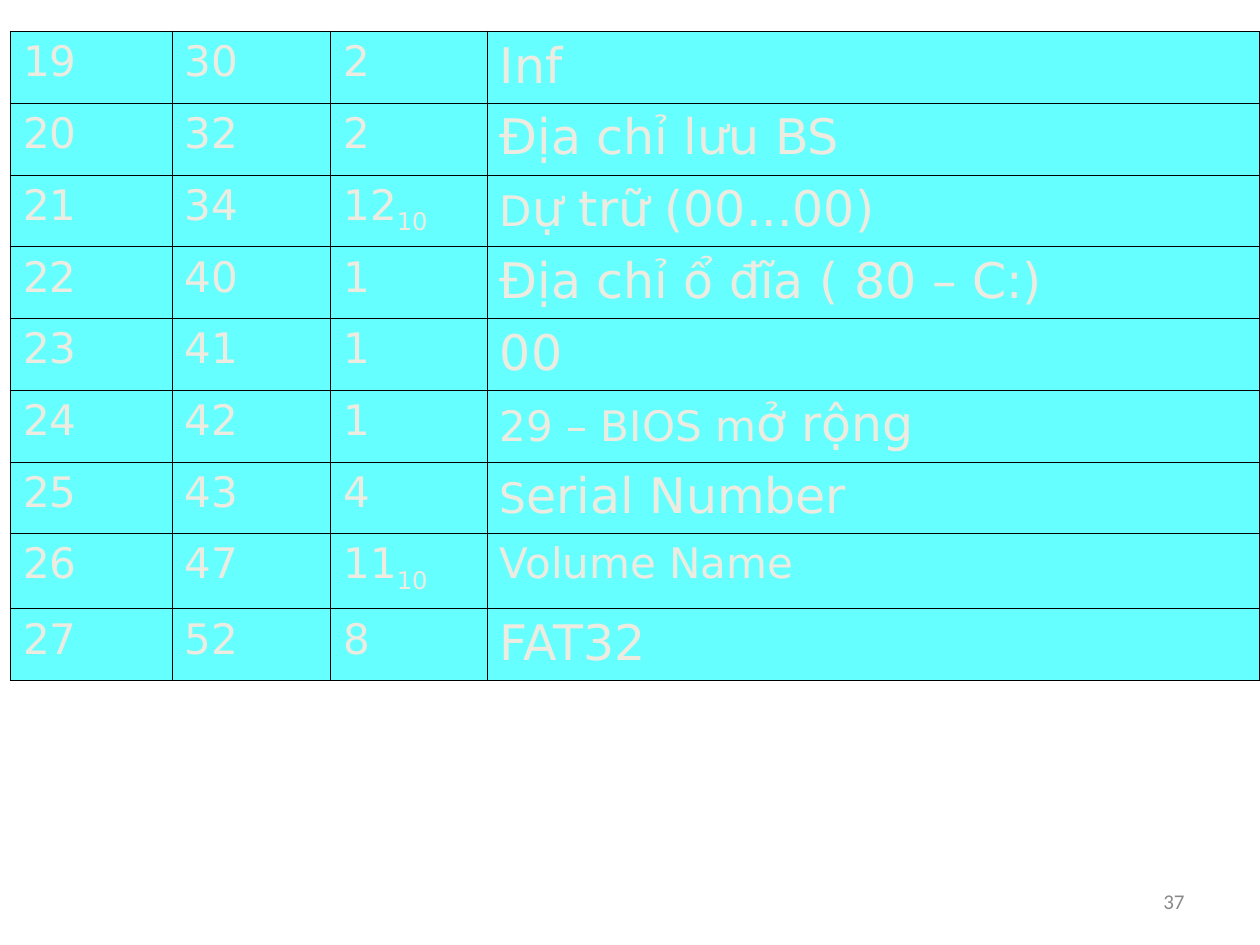
from dataclasses import dataclass

from lxml.etree import SubElement
from pptx import Presentation
from pptx.dml.color import RGBColor
from pptx.enum.text import MSO_ANCHOR, PP_ALIGN
from pptx.oxml.ns import qn
from pptx.util import Pt


@dataclass(frozen=True)
class Theme:
    cell: str = "66FFFF"
    text: str = "EEECE1"
    border: str = "000000"
    number: str = "898989"
    table_font: str = "DejaVu Sans"
    number_font: str = "Calibri"
    normal: float = 24
    large: float = 28
    small: float = 12
    inner: float = 0.45
    outer: float = 1.08


theme = Theme()


def add_run(p, text, size, color, font):
    r = p.add_run()
    r.text = text
    r.font.size = Pt(size)
    r.font.name = font
    r.font.color.rgb = RGBColor.from_string(color)
    return r


def add_border(cell, side, width):
    ln = SubElement(cell._tc.get_or_add_tcPr(), qn(f"a:{side}"), w=str(Pt(width)))
    fill = SubElement(ln, qn("a:solidFill"))
    SubElement(fill, qn("a:srgbClr"), val=theme.border)


prs = Presentation()
prs.slide_width, prs.slide_height = Pt(720), Pt(540)
s = prs.slides.add_slide(prs.slide_layouts[6])

first_index = 19
fields = [
    ("30", "2", "", "", "Inf"),
    ("32", "2", "", "", "Địa chỉ lưu BS"),
    ("34", "12", "10", "D", "ự trữ (00...00)"),
    ("40", "1", "", "", "Địa chỉ ổ đĩa ( 80 – C:)"),
    ("41", "1", "", "", "00"),
    ("42", "1", "", "29 – BIOS m", "ở rộng"),
    ("43", "4", "", "S", "erial Number"),
    ("47", "11", "10", "Volume Name", ""),
    ("52", "8", "", "", "FAT32"),
]
col_widths = [92.5, 90.5, 89.5, 441.5]
row_heights = [41] * 7 + [43, 41]
last_row, last_col = len(row_heights) - 1, len(col_widths) - 1

tbl = s.shapes.add_table(
    len(row_heights), len(col_widths),
    Pt(6), Pt(18), Pt(sum(col_widths)), Pt(sum(row_heights)),
).table
tbl.first_row = tbl.horz_banding = False
for col, width in zip(tbl.columns, col_widths):
    col.width = Pt(width)
for row, height in zip(tbl.rows, row_heights):
    row.height = Pt(height)

for i, (offset, size, base, lead, rest) in enumerate(fields):
    row_runs = [
        [(str(first_index + i), theme.normal, False)],
        [(offset, theme.normal, False)],
        [(size, theme.normal, False), (base, theme.normal, True)],
        [(lead, theme.normal, False), (rest, theme.large, False)],
    ]
    for j, runs in enumerate(row_runs):
        cell = tbl.cell(i, j)
        for side, on_edge in (
            ("lnL", j == 0), ("lnR", j == last_col),
            ("lnT", i == 0), ("lnB", i == last_row),
        ):
            add_border(cell, side, theme.outer if on_edge else theme.inner)
        cell.fill.solid()
        cell.fill.fore_color.rgb = RGBColor.from_string(theme.cell)
        p = cell.text_frame.paragraphs[0]
        for text, pts, subscript in runs:
            if text:
                r = add_run(p, text, pts, theme.text, theme.table_font)
                if subscript:
                    r.font._element.set("baseline", "-25000")

sp = s.shapes.add_textbox(Pt(516), Pt(500.5), Pt(168), Pt(28.75))
tf = sp.text_frame
tf.word_wrap = True
tf.vertical_anchor = MSO_ANCHOR.MIDDLE
p = tf.paragraphs[0]
p.alignment = PP_ALIGN.RIGHT
add_run(p, "37", theme.small, theme.number, theme.number_font)

prs.save("out.pptx")
